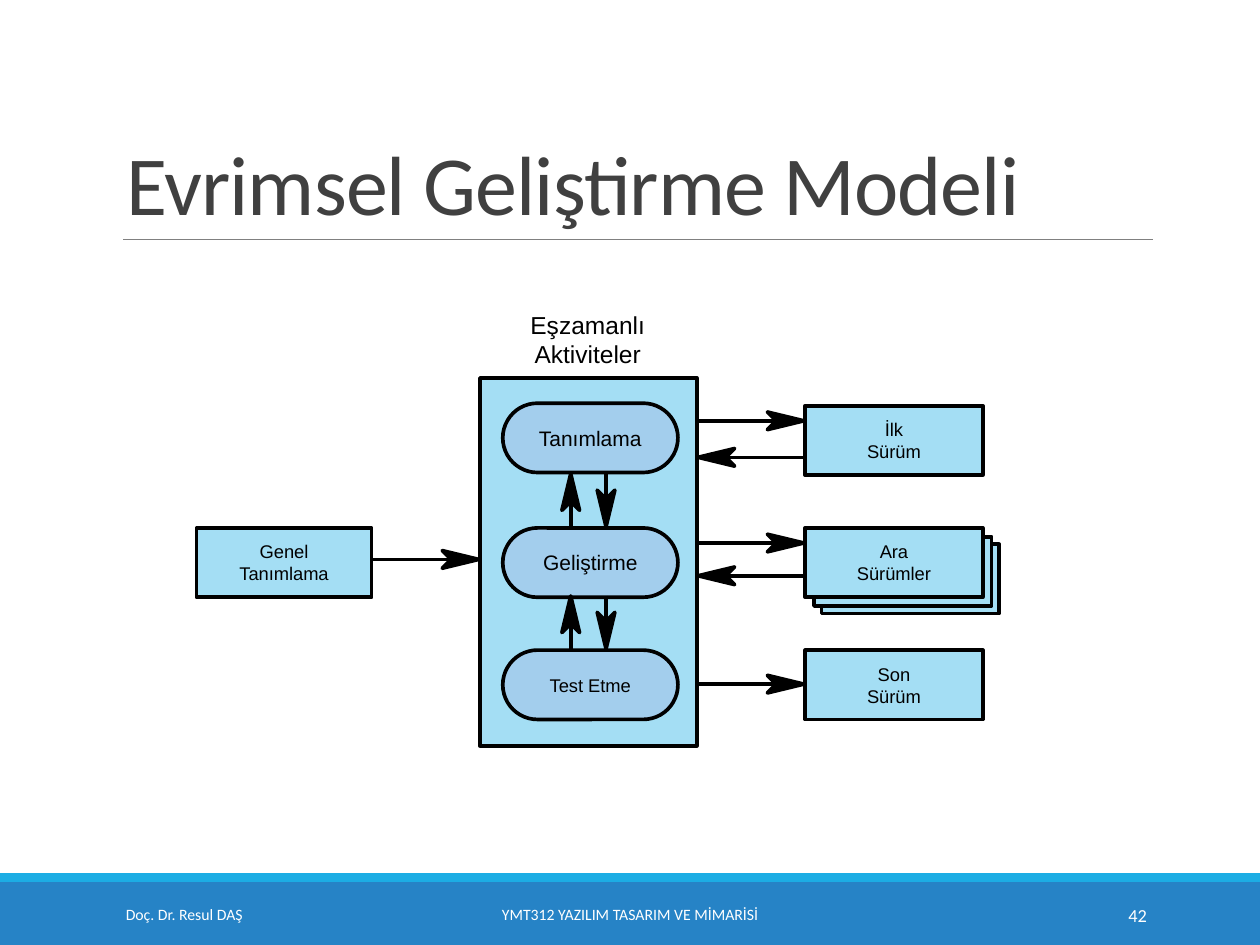
from dataclasses import dataclass
from math import hypot
from pptx import Presentation
from pptx.dml.color import RGBColor
from pptx.enum.shapes import MSO_CONNECTOR, MSO_SHAPE
from pptx.enum.text import MSO_ANCHOR, MSO_AUTO_SIZE, PP_ALIGN
from pptx.oxml.ns import qn
from pptx.util import Inches, Pt
from lxml.etree import SubElement


@dataclass(frozen=True)
class Theme:
    """Colours, fonts and sizes of the slide."""
    ink: RGBColor = RGBColor(0, 0, 0)
    white: RGBColor = RGBColor(255, 255, 255)
    head: RGBColor = RGBColor(0x40, 0x40, 0x40)
    rule: RGBColor = RGBColor(0x80, 0x80, 0x80)
    band: RGBColor = RGBColor(0x26, 0x83, 0xC6)
    strip: RGBColor = RGBColor(0x1C, 0xAD, 0xE4)
    box: RGBColor = RGBColor(0xA4, 0xDE, 0xF4)
    pill: RGBColor = RGBColor(0xA3, 0xCE, 0xED)
    main: str = "Calibri"
    chart: str = "Arial"
    title: float = 48
    label: float = 14
    step: float = 12
    small: float = 10.5
    foot: float = 9
    line: float = 2.1


theme = Theme()
deck = Presentation()
deck.slide_width, deck.slide_height = Inches(10), Inches(7.5)
slide = deck.slides.add_slide(deck.slide_layouts[5])
shapes = slide.shapes


def write(frame, lines, size, color, font, align, anchor=MSO_ANCHOR.MIDDLE):
    """Fill a text frame, one paragraph for each line."""
    frame.word_wrap = True
    frame.auto_size = MSO_AUTO_SIZE.NONE
    frame.vertical_anchor = anchor
    for i, line in enumerate(lines):
        para = frame.add_paragraph() if i else frame.paragraphs[0]
        para.alignment = align
        run = para.add_run()
        run.text = line
        run.font.size, run.font.name = Pt(size), font
        run.font.color.rgb = color


def link(start, end, color, width):
    """Draw a straight line without a shadow."""
    line = shapes.add_connector(
        MSO_CONNECTOR.STRAIGHT, *[Inches(v) for v in (*start, *end)])
    line.line.color.rgb = color
    line.line.width = Pt(width)
    SubElement(line._element.spPr, qn("a:effectLst"))


# Page frame and title
for top, high, color in [(7, 0.5, theme.band), (6.93, 0.07, theme.strip)]:
    bar = shapes.add_shape(
        MSO_SHAPE.RECTANGLE, 0, Inches(top), Inches(10), Inches(high))
    bar.shadow.inherit = False
    bar.fill.solid()
    bar.fill.fore_color.rgb = color
    bar.line.fill.background()
link((0.98, 1.9), (9.15, 1.9), theme.rule, 0.5)

title = shapes.title
title.left, title.top = Inches(0.9), Inches(0.31)
title.width, title.height = Inches(8.25), Inches(1.59)
write(title.text_frame, ["Evrimsel Geliştirme Modeli"], theme.title,
      theme.head, theme.main, PP_ALIGN.LEFT, MSO_ANCHOR.BOTTOM)
para = title.text_frame.paragraphs[0]
para.line_spacing = 0.85
para.runs[0].font._element.set("spc", "-50")

# Boxes, back to front: kind, left, top, width, height, size, lines
rect, pill = MSO_SHAPE.RECTANGLE, MSO_SHAPE.ROUNDED_RECTANGLE
high = 0.55
boxes = [(rect, 6.39 + d, 4.19 + d, 1.41, high, theme.small, [])
         for d in (0.13, 0.07)]
boxes += [
    (rect, 3.81, 3, 1.72, 2.92, theme.small, []),
    (rect, 1.56, 4.19, 1.39, high, theme.small, ["Genel", "Tanımlama"]),
    (pill, 3.99, 3.2, 1.39, high, theme.step, ["Tanımlama"]),
    (pill, 3.99, 4.19, 1.39, high, theme.step, ["Geliştirme"]),
    (pill, 3.99, 5.16, 1.39, high, theme.small, ["Test Etme"]),
    (rect, 6.39, 3.22, 1.41, high, theme.small, ["İlk", "Sürüm"]),
    (rect, 6.39, 4.19, 1.41, high, theme.small, ["Ara", "Sürümler"]),
    (rect, 6.39, 5.16, 1.41, high, theme.small, ["Son", "Sürüm"]),
]
for kind, left, top, wide, tall, size, lines in boxes:
    box = shapes.add_shape(
        kind, *[Inches(v) for v in (left, top, wide, tall)])
    box.shadow.inherit = False
    box.fill.solid()
    box.fill.fore_color.rgb = theme.pill if kind == pill else theme.box
    box.line.color.rgb = theme.ink
    box.line.width = Pt(theme.line)
    if kind == pill:
        box.adjustments[0] = 0.5
    write(box.text_frame, lines, size, theme.ink, theme.chart,
          PP_ALIGN.CENTER)

# Arrows: start and tip
arrows = [((2.94, 4.44), (3.8, 4.44))]
arrows += [((5.52, y), (6.38, y)) for y in (3.34, 4.31, 5.43)]
arrows += [((6.38, y), (5.54, y)) for y in (3.63, 4.57)]
for top, low in [(3.76, 4.18), (4.73, 5.15)]:
    arrows += [((4.81, top), (4.81, low)), ((4.53, low), (4.53, top))]
barb, notch, half = 0.29, 0.22, 0.07
for start, tip in arrows:
    (x, y), (tx, ty) = start, tip
    span = hypot(tx - x, ty - y)
    ux, uy = (tx - x) / span, (ty - y) / span
    link(start, (tx - 0.18 * ux, ty - 0.18 * uy), theme.ink, theme.line)
    points = [(Inches(tx - back * ux - side * uy),
               Inches(ty - back * uy + side * ux))
              for back, side in [(notch, 0), (barb, -half), (0, 0),
                                 (barb, half)]]
    path = shapes.build_freeform(*points[0])
    path.add_line_segments(points[1:], close=True)
    head = path.convert_to_shape()
    head.shadow.inherit = False
    head.fill.solid()
    head.fill.fore_color.rgb = theme.ink
    head.line.color.rgb = theme.ink
    head.line.width = Pt(theme.line)

# Free text: place, lines, size, colour, font, align, anchor
mid = MSO_ANCHOR.MIDDLE
notes = [
    ((3.9, 2.41, 1.53, 0.47), ["Eşzamanlı", "Aktiviteler"], theme.label,
     theme.ink, theme.chart, PP_ALIGN.CENTER, MSO_ANCHOR.TOP),
    ((0.9, 7.06, 2.03, 0.4), ["Doç. Dr. Resul DAŞ"], theme.foot,
     theme.white, theme.main, PP_ALIGN.LEFT, mid),
    ((3.02, 7.06, 3.96, 0.4), ["YMT312 YAZILIM TASARIM VE MİMARİSİ"],
     theme.foot, theme.white, theme.main, PP_ALIGN.CENTER, mid),
    ((8.12, 7.06, 1.08, 0.4), ["42"], theme.small,
     theme.white, theme.main, PP_ALIGN.RIGHT, mid),
]
for place, *rest in notes:
    note = shapes.add_textbox(*[Inches(v) for v in place])
    write(note.text_frame, *rest)

deck.save("out.pptx")
